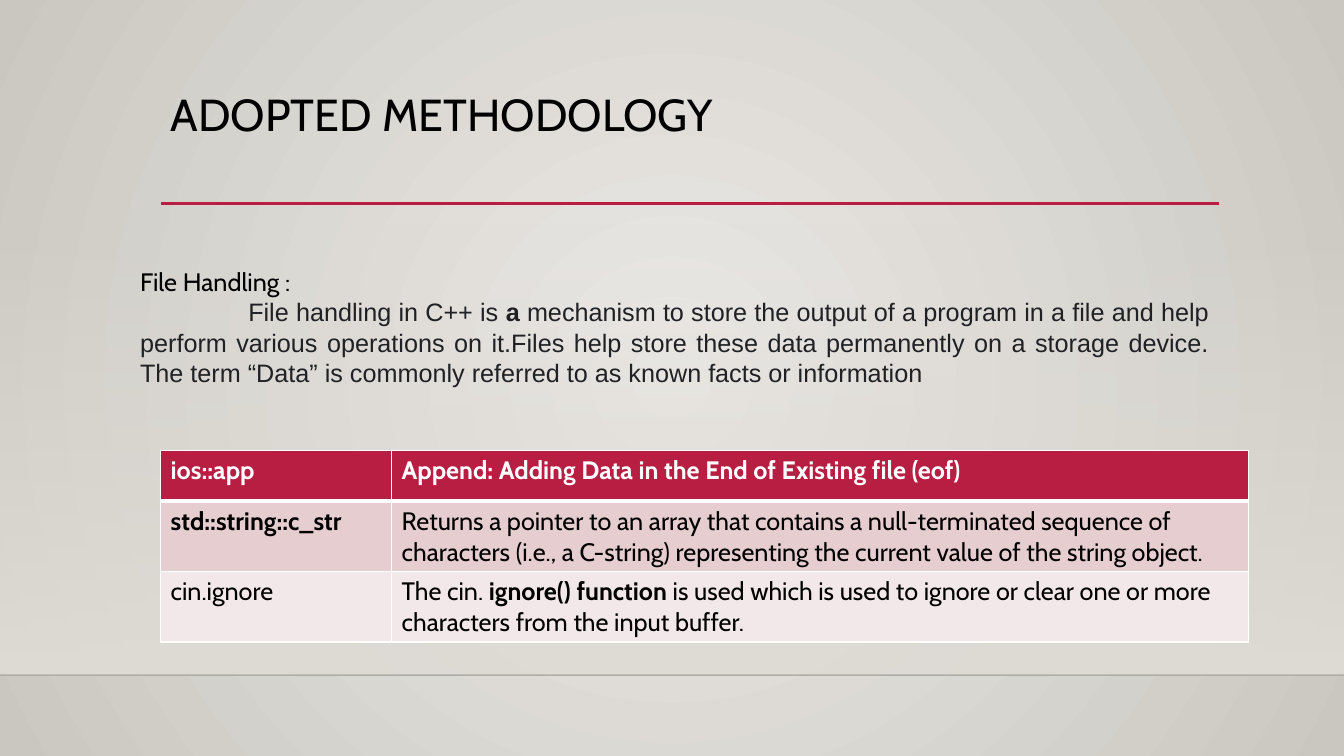
from lxml import etree
from pptx import Presentation
from pptx import util as u
from pptx.dml.color import RGBColor
from pptx.enum import shapes, text
from pptx.oxml import parse_xml
from pptx.oxml.ns import nsdecls, qn

PX = 9525
WIDTH, HEIGHT = 1280, 720
COLORS = {
    "ink": "000000", "body": "202124", "white": "FFFFFF", "accent": "B71E42",
    "rose": "E6CDCF", "blush": "F3E8E9", "center": "ECEAE7", "edge": "CAC7C1",
    "wall": "DFDBD5",
}
DEFINITIONS = [
    ("ios::app", "Append: Adding Data in the End of Existing file (eof)"),
    ("**std::string::c_str**",
     "Returns a pointer to an array that contains a null-terminated sequence of "
     "characters (i.e., a C-string) representing the current value of the string object."),
    ("cin.ignore",
     "The cin. **ignore() function** is used which is used to ignore or clear one or "
     "more characters from the input buffer."),
]
EXPLANATION = (
    "File handling in C++ is **a **mechanism to store the output of a program in a file "
    "and help perform various operations on it.Files help store these data permanently "
    "on a storage device. The term “Data” is commonly referred to as known facts or information"
)


def px(*lengths):
    return [u.Emu(length * PX) for length in lengths]


def rgb(name):
    return RGBColor.from_string(COLORS[name])


def gradient(stops, direction):
    marks = "".join(
        f'<a:gs pos="{pos}"><a:srgbClr val="{COLORS[name]}">'
        f'<a:alpha val="{alpha}"/></a:srgbClr></a:gs>'
        for pos, name, alpha in stops)
    return parse_xml(f'<a:gradFill {nsdecls("a")} rotWithShape="1">'
                     f'<a:gsLst>{marks}</a:gsLst>{direction}</a:gradFill>')


class Deck:
    def __init__(self):
        self.prs = Presentation()
        self.prs.slide_width, self.prs.slide_height = px(WIDTH, HEIGHT)
        self.slide = self.prs.slides.add_slide(self.prs.slide_layouts[5])

    def swap_gradient(self, fill, parent, stops, direction):
        fill.gradient()
        old = parent.find(".//" + qn("a:gradFill"))
        old.getparent().replace(old, gradient(stops, direction))

    def background(self):
        self.swap_gradient(
            self.slide.background.fill, self.slide.element,
            [(0, "center", 100000), (100000, "edge", 100000)],
            '<a:path path="circle"><a:fillToRect l="50000" t="50000" r="50000" b="50000"/></a:path>')

    def wall(self, *box):
        wall = self.slide.shapes.add_shape(shapes.MSO_SHAPE.RECTANGLE, *px(*box))
        wall.shadow.inherit = False
        wall.line.fill.background()
        self.swap_gradient(
            wall.fill, wall.element,
            [(0, "wall", 0), (100000, "wall", 100000)], '<a:lin ang="5400000" scaled="0"/>')

    def rule(self, left, right, y, color, width, opacity=100):
        rule = self.slide.shapes.add_connector(
            shapes.MSO_CONNECTOR.STRAIGHT, *px(left, y, right, y))
        rule.line.color.rgb = rgb(color)
        rule.line.width = u.Pt(width)
        properties = rule.element.spPr
        shade = properties.find(".//" + qn("a:srgbClr"))
        etree.SubElement(shade, qn("a:alpha")).set("val", str(opacity * 1000))
        etree.SubElement(properties, qn("a:effectLst"))

    def add_wording(self, paragraph, wording, color, font="Cabin", size=18, bold=False):
        for index, part in enumerate(wording.split("**")):
            if part:
                run = paragraph.add_run()
                run.text = part
                run.font.name = font
                run.font.size = u.Pt(size)
                run.font.bold = bold or index % 2 == 1
                run.font.color.rgb = rgb(color)

    def title(self, wording, *box):
        title = self.slide.shapes.title
        title.left, title.top, title.width, title.height = px(*box)
        frame = title.text_frame
        frame.auto_size = text.MSO_AUTO_SIZE.NONE
        frame.vertical_anchor = text.MSO_ANCHOR.TOP
        heading = frame.paragraphs[0]
        heading.alignment = text.PP_ALIGN.JUSTIFY
        heading.line_spacing = 0.9
        self.add_wording(heading, wording, "ink", size=32)

    def passage(self, heading, explanation, indent, *box):
        frame = self.slide.shapes.add_textbox(*px(*box)).text_frame
        frame.word_wrap = True
        frame.auto_size = text.MSO_AUTO_SIZE.SHAPE_TO_FIT_TEXT
        lead, detail = frame.paragraphs[0], frame.add_paragraph()
        lead.alignment = detail.alignment = text.PP_ALIGN.JUSTIFY
        detail._p.get_or_add_pPr().set("indent", str(indent * PX))
        self.add_wording(lead, heading, "ink")
        self.add_wording(detail, explanation, "body", font="Arial")

    def borders(self, cell, top, bottom):
        properties = cell._tc.get_or_add_tcPr()
        sides = {"lnL": 1, "lnR": 1, "lnT": top, "lnB": bottom}
        for index, (side, width) in enumerate(sides.items()):
            properties.insert(index, parse_xml(
                f'<a:{side} {nsdecls("a")} w="{u.Pt(width)}"><a:solidFill>'
                f'<a:srgbClr val="{COLORS["white"]}"/></a:solidFill></a:{side}>'))

    def table(self, rows, left, top, widths, heights):
        table = self.slide.shapes.add_table(
            len(rows), len(widths), *px(left, top, sum(widths), sum(heights))).table
        for column, width in zip(table.columns, px(*widths)):
            column.width = width
        for row, height in zip(table.rows, px(*heights)):
            row.height = height
        fills = ["accent", "rose", "blush"]
        for r, wordings in enumerate(rows):
            header = r == 0
            for c, wording in enumerate(wordings):
                cell = table.cell(r, c)
                cell.fill.solid()
                cell.fill.fore_color.rgb = rgb(fills[r])
                self.borders(cell, 3 if r == 1 else 1, 3 if header else 1)
                self.add_wording(cell.text_frame.paragraphs[0], wording,
                                 "white" if header else "ink", bold=header)


def main():
    deck = Deck()
    deck.background()
    deck.wall(0, 212, WIDTH, 431)
    deck.rule(0, WIDTH, 643, "ink", 1, opacity=20)
    deck.rule(153, 1161, 194, "accent", 2.5)
    deck.title("ADOPTED METHODOLOGY", 153, 84, 1008, 110)
    deck.passage("File Handling :", EXPLANATION, 103, 124, 249, 1037, 126)
    deck.table(DEFINITIONS, 153, 429, [220, 816], [48, 67, 67])
    deck.prs.save("out.pptx")


if __name__ == "__main__":
    main()
